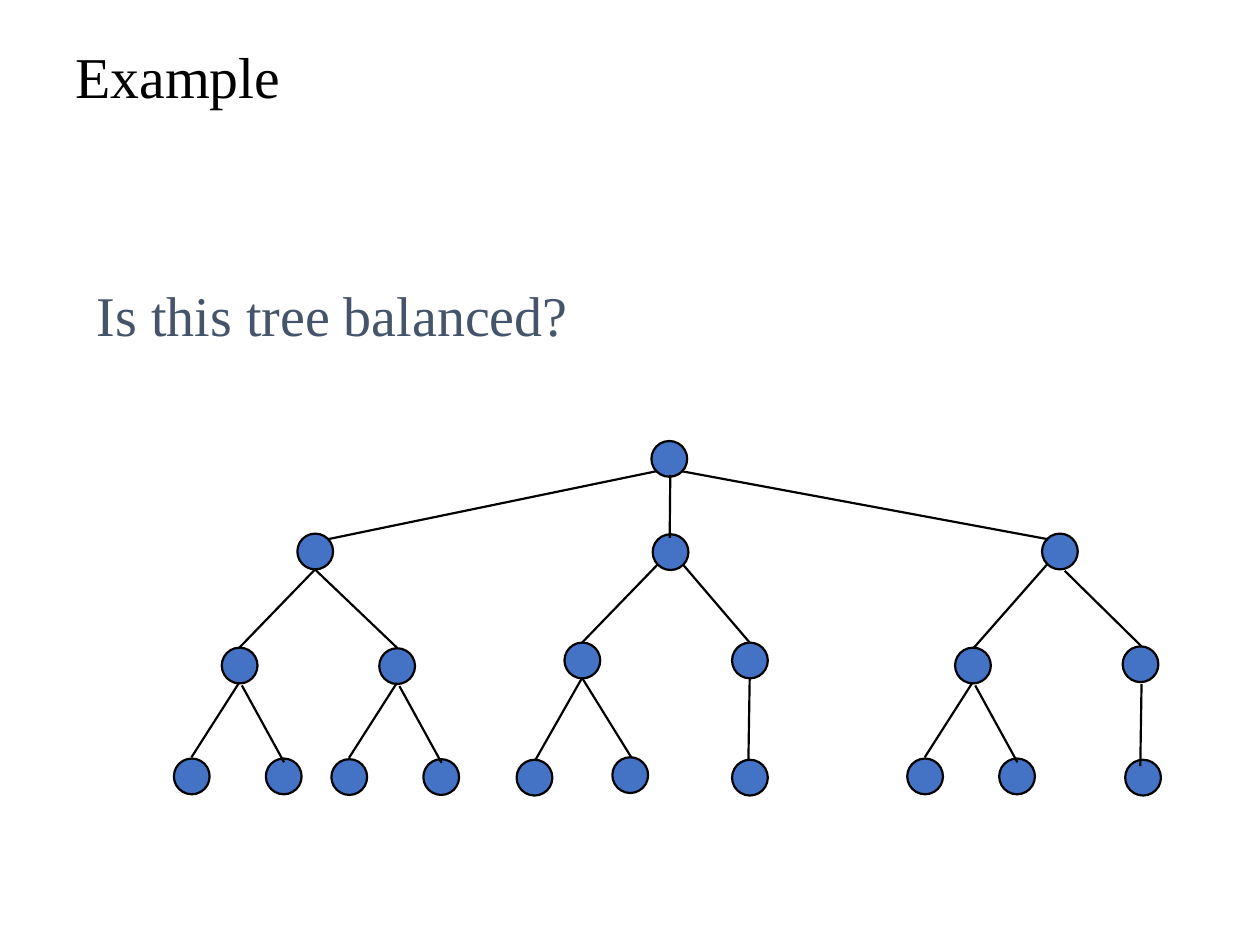
import pptx
import pptx.util
import pptx.dml.color
import pptx.enum.shapes
import pptx.enum.text
import pptx.oxml.ns
import lxml.etree

HUES = {"node": "4472C4", "line": "000000", "title": "000000", "ask": "44546A"}
FONT = "Times New Roman"
CELL = pptx.util.Inches(0.1)
SIZE = 2.84
TOP = [(51.7, 35), (23.6, 42.35), (51.8, 42.4), (82.7, 42.35)]
MID = [(44.8, 51), (58.1, 51), (89.1, 51.3)]
LEAVES = [(41, 60.3), (48.6, 60.1), (58.1, 60.3), (89.3, 60.3)]
TWINS = [(17.6, 51.4), (30.1, 51.45), (75.8, 51.4)]
EDGES = [
    (52.1, 37.4, 26, 42.8), (54.1, 37.4, 83.2, 42.8), (53.2, 37.7, 53.15, 42.7),
    (25, 45.2, 19, 51.4), (25, 45.2, 31.5, 51.4),
    (52.2, 44.8, 46.2, 51), (54.2, 44.8, 59.5, 51),
    (83.1, 44.8, 77.3, 51.4), (84.5, 45.3, 90.6, 51.3),
    (46.2, 53.8, 42.5, 60.3), (46.2, 53.8, 50.1, 60.1),
    (59.5, 53.8, 59.4, 60.3), (90.6, 54.3, 90.5, 60.8),
]


def grid(*cells):
    """Turn counts of grid cells into lengths."""
    return [round(n * CELL) for n in cells]


def hue(name):
    """Return the named colour."""
    return pptx.dml.color.RGBColor.from_string(HUES[name])


def write(slide, text, box, size, tint, wrap=True, lead=None):
    """Add a text box with one run."""
    frame = slide.shapes.add_textbox(*grid(*box)).text_frame
    frame.word_wrap = wrap
    if lead:
        frame.vertical_anchor = pptx.enum.text.MSO_ANCHOR.MIDDLE
    para = frame.paragraphs[0]
    para.line_spacing = lead
    run = para.add_run()
    run.text = text
    run.font.name = FONT
    run.font.size = pptx.util.Pt(size)
    run.font.color.rgb = hue(tint)


def stroke(line):
    """Give a line its colour and width."""
    line.color.rgb = hue("line")
    line.width = pptx.util.Pt(1.25)


def node(slide, x, y):
    """Draw a tree node."""
    kind = pptx.enum.shapes.MSO_SHAPE.OVAL
    dot = slide.shapes.add_shape(kind, *grid(x, y, SIZE, SIZE))
    dot.shadow.inherit = False
    dot.fill.solid()
    dot.fill.fore_color.rgb = hue("node")
    stroke(dot.line)


def edge(slide, *ends):
    """Draw a tree edge."""
    kind = pptx.enum.shapes.MSO_CONNECTOR.STRAIGHT
    link = slide.shapes.add_connector(kind, *grid(*ends))
    stroke(link.line)
    tag = pptx.oxml.ns.qn("a:effectLst")
    lxml.etree.SubElement(link._element.spPr, tag)


def twin(slide, x, y):
    """Draw a node with two leaves below it."""
    for dx, dy in [(0, 0), (-3.8, 8.8), (3.5, 8.8)]:
        node(slide, x + dx, y + dy)
    edge(slide, x + 1.4, y + 2.75, x - 2.4, y + 8.7)
    edge(slide, x + 1.6, y + 3, x + 4.95, y + 9.1)


def main():
    """Build the slide and save it."""
    deck = pptx.Presentation()
    deck.slide_width, deck.slide_height = grid(100, 75)
    slide = deck.slides.add_slide(deck.slide_layouts[6])
    write(slide, "Example", (5, 1.7, 90, 9.2), 33, "title", lead=0.9)
    for spot in TOP + MID + LEAVES:
        node(slide, *spot)
    for spot in TWINS:
        twin(slide, *spot)
    for ends in EDGES:
        edge(slide, *ends)
    ask = "Is this tree balanced?"
    write(slide, ask, (6.7, 21.8, 39.4, 6.3), 32, "ask", wrap=False)
    deck.save("out.pptx")


if __name__ == "__main__":
    main()
